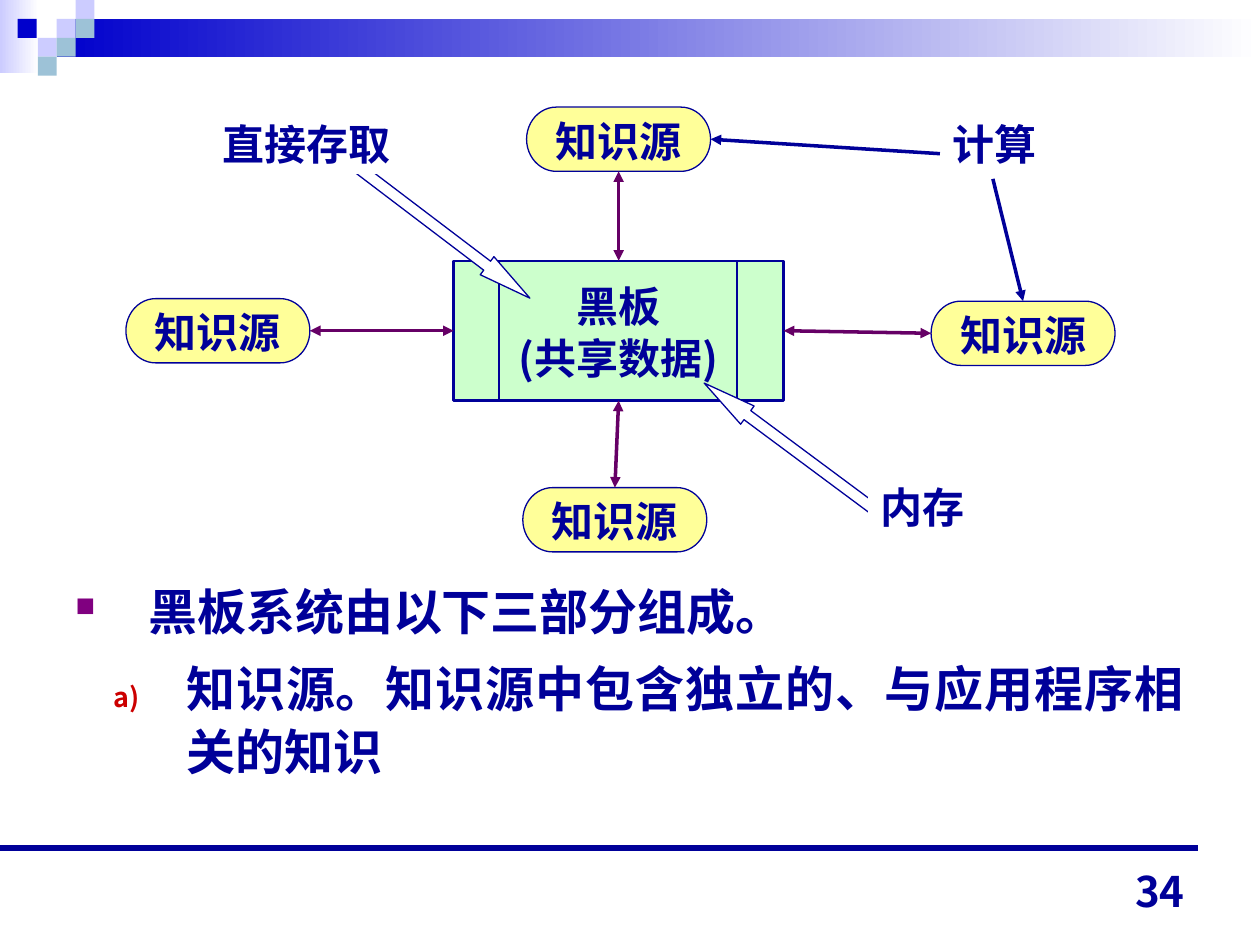
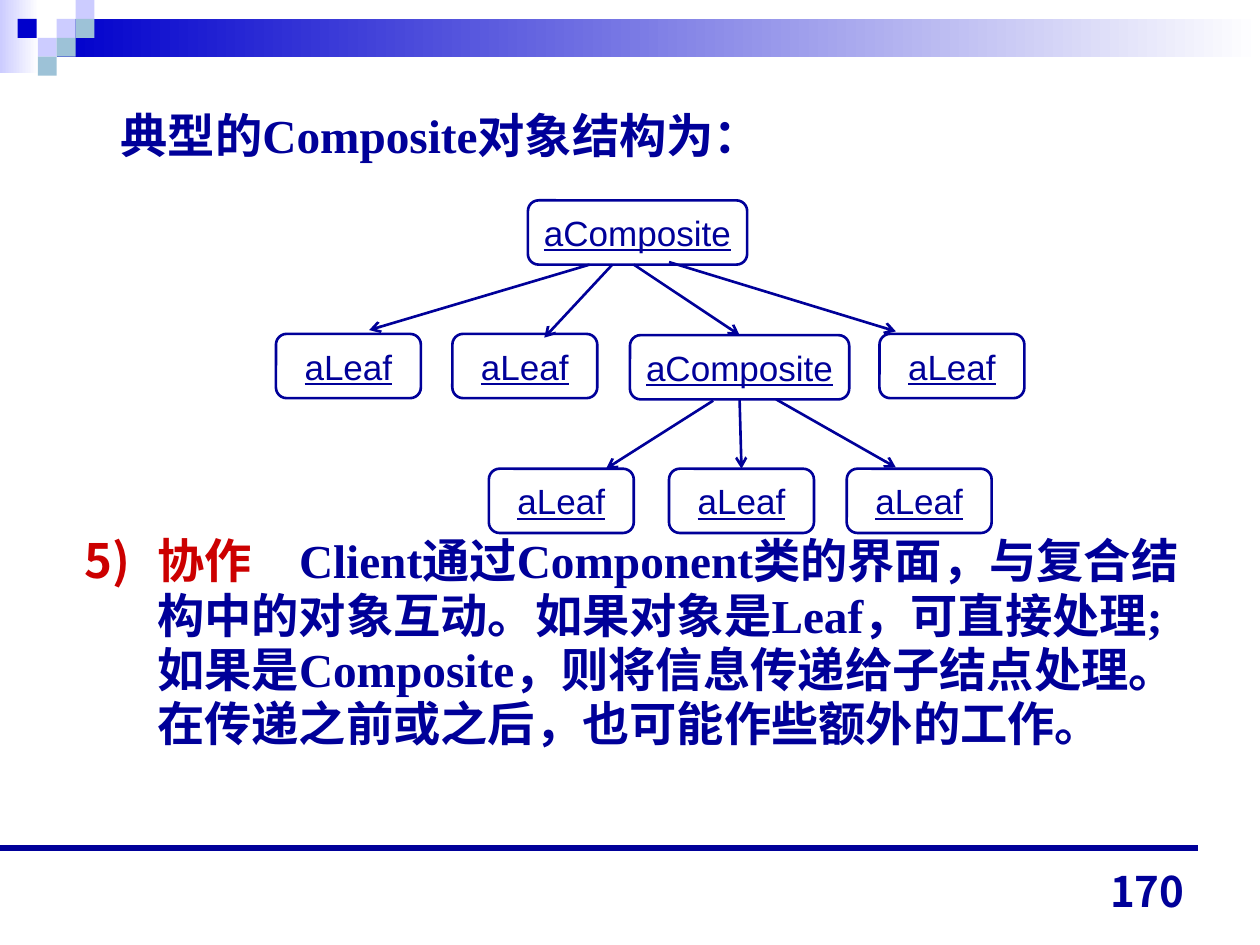
from typing import Any, NamedTuple, Optional, Union

from lxml import etree
from pptx import Presentation
from pptx.dml.color import RGBColor
from pptx.enum import shapes, text
from pptx.oxml import ns
from pptx.util import Inches, Pt

NAVY = RGBColor(0x00, 0x00, 0x99)
BLUE = RGBColor(0x00, 0x00, 0xCC)
LILAC = RGBColor(0xCC, 0xCC, 0xFF)
TEAL = RGBColor(0x9D, 0xC2, 0xD7)
WHITE = RGBColor(0xFF, 0xFF, 0xFF)
YELLOW = RGBColor(0xFF, 0xFF, 0x99)
GREEN = RGBColor(0xCC, 0xFF, 0xCC)
PLUM = RGBColor(0x66, 0x00, 0x66)
PURPLE = RGBColor(0x80, 0x00, 0x80)
RED = RGBColor(0xCC, 0x00, 0x00)

HAN_FONT = "Noto Sans CJK SC"
SHAPE = shapes.MSO_SHAPE
ALIGN = text.PP_ALIGN
ANCHOR = text.MSO_ANCHOR


class Frame(NamedTuple):
    left: float
    top: float
    width: float
    height: float


class Point(NamedTuple):
    x: float
    y: float


class Side(NamedTuple):
    shape: Any
    site: int


class Style(NamedTuple):
    size: float
    name: str = "Arial"
    bold: bool = True
    underline: bool = False
    spacing: Optional[float] = None
    align: Any = ALIGN.CENTER


class Bullet(NamedTuple):
    tag: str
    attributes: dict[str, str]
    color: RGBColor
    percent: int
    left: float
    hanging: float


class Span(NamedTuple):
    words: str
    color: RGBColor = NAVY


End = Union[Point, Side]
TOP, LEFT, BOTTOM, RIGHT = range(4)

LABEL = Style(24, spacing=30)
BLACKBOARD = Style(24, HAN_FONT, spacing=30)
NODE = Style(20, bold=False, underline=True)
BODY = Style(28, "Times New Roman", spacing=36, align=ALIGN.LEFT)
BODY_HAN = BODY._replace(name=HAN_FONT, align=ALIGN.JUSTIFY)
BODY_SMALL = BODY._replace(size=27, spacing=31)
PAGE_NUMBER = Style(24, "Noto Sans CJK JP", align=ALIGN.RIGHT)

SQUARE_BULLET = Bullet("a:buChar", {"char": "■"}, PURPLE, 55, 0.58, 0.58)
LETTER_BULLET = Bullet("a:buAutoNum", {"type": "alphaLcParenR"}, RED, 55, 0.88, 0.58)
FIFTH_BULLET = Bullet("a:buAutoNum", {"type": "arabicParenR", "startAt": "5"},
                      RED, 100, 0.58, 0.58)

TILE = 0.15
TILES = [(0.45, 0.15, LILAC), (0.6, 0, LILAC), (0.6, 0.15, TEAL), (0.3, 0.3, LILAC),
         (0.14, 0.15, BLUE), (0.45, 0.3, TEAL), (0.3, 0.45, TEAL)]
GRADIENT_BANDS = [(Frame(0, 0, 0.31, 0.58), LILAC), (Frame(0.45, 0.15, 9.55, 0.3), BLUE)]


def add_element(parent: Any, tag: str, **attributes: str) -> Any:
    return etree.SubElement(parent, ns.qn(tag), attributes)


def inches(values: tuple) -> list:
    return [Inches(value) for value in values]


def add_shape(page: Any, kind: Any, frame: Frame, fill: Optional[RGBColor] = None,
              line_width: float = 0) -> Any:
    shape = page.shapes.add_shape(kind, *inches(frame))
    shape.shadow.inherit = False
    if fill is None:
        shape.fill.background()
    else:
        shape.fill.solid()
        shape.fill.fore_color.rgb = fill
    if line_width:
        shape.line.color.rgb = NAVY
        shape.line.width = Pt(line_width)
    else:
        shape.line.fill.background()
    return shape


def set_bullet(para: Any, bullet: Bullet) -> None:
    properties = para._p.get_or_add_pPr()
    properties.set("marL", str(Inches(bullet.left)))
    properties.set("indent", str(-Inches(bullet.hanging)))
    color = add_element(properties, "a:buClr")
    add_element(color, "a:srgbClr", val=str(bullet.color))
    add_element(properties, "a:buSzPct", val=str(bullet.percent * 1000))
    add_element(properties, bullet.tag, **bullet.attributes)


def write_para(para: Any, spans: list[Span], style: Style,
               bullet: Optional[Bullet] = None) -> None:
    if bullet:
        set_bullet(para, bullet)
    para.alignment = style.align
    if style.spacing:
        para.line_spacing = Pt(style.spacing)
    font_values = {"size": Pt(style.size), "name": style.name,
                   "bold": style.bold, "underline": style.underline}
    for words, color in spans:
        span = para.add_run()
        span.text = words
        for attribute, value in font_values.items():
            setattr(span.font, attribute, value)
        span.font.color.rgb = color
        add_element(span._r.get_or_add_rPr(), "a:ea", typeface=HAN_FONT)


def write_centred(shape: Any, lines: list[str], style: Style) -> None:
    frame = shape.text_frame
    values = {"word_wrap": False, "vertical_anchor": ANCHOR.MIDDLE, "margin_left": 0,
              "margin_right": 0, "margin_top": 0, "margin_bottom": 0}
    for attribute, value in values.items():
        setattr(frame, attribute, value)
    for index, line in enumerate(lines):
        para = frame.add_paragraph() if index else frame.paragraphs[0]
        write_para(para, [Span(line)], style)


def add_text(page: Any, frame: Frame, anchor: Any = ANCHOR.TOP) -> Any:
    box = page.shapes.add_textbox(*inches(frame))
    box.text_frame.word_wrap = True
    box.text_frame.vertical_anchor = anchor
    return box.text_frame


def add_line(page: Any, start: End, end: End, color: RGBColor, width: float,
             head: str = "none", tail: str = "none") -> None:
    """Draw a straight line; an end given as a Side is joined to its shape."""
    points = [Point(0, 0) if isinstance(spot, Side) else spot for spot in (start, end)]
    line = page.shapes.add_connector(shapes.MSO_CONNECTOR.STRAIGHT,
                                     *inches(points[0] + points[1]))
    for spot, join in ((start, line.begin_connect), (end, line.end_connect)):
        if isinstance(spot, Side):
            join(spot.shape, spot.site)
    line.line.color.rgb = color
    line.line.width = Pt(width)
    outline = line.line._get_or_add_ln()
    add_element(outline, "a:headEnd", type=head)
    add_element(outline, "a:tailEnd", type=tail)
    add_element(line._element.spPr, "a:effectLst")


def add_page(deck: Any, number: int) -> Any:
    """Add a blank page with the header band, footer rule and page number."""
    page = deck.slides.add_slide(deck.slide_layouts[6])
    for frame, color in GRADIENT_BANDS:
        band = add_shape(page, SHAPE.RECTANGLE, frame, color)
        band.fill.gradient()
        band.fill.gradient_angle = 0
        for stop, stop_color in zip(band.fill.gradient_stops, (color, WHITE)):
            stop.color.rgb = stop_color
    for left, top, color in TILES:
        add_shape(page, SHAPE.RECTANGLE, Frame(left, top, TILE, TILE), color)
    add_line(page, Point(0, 6.73), Point(9.51, 6.73), NAVY, 3.25)
    footer = add_text(page, Frame(7.17, 6.82, 2.33, 0.5), ANCHOR.BOTTOM)
    write_para(footer.paragraphs[0], [Span(str(number))], PAGE_NUMBER)
    return page


def add_source(page: Any, left: float, top: float) -> Any:
    source = add_shape(page, SHAPE.FLOWCHART_TERMINATOR,
                       Frame(left, top, 1.46, 0.51), YELLOW, 0.75)
    write_centred(source, ["知识源"], LABEL)
    return source


def add_node(page: Any, name: str, left: float, top: float) -> Any:
    width = 1.74 if name == "aComposite" else 1.15
    node = add_shape(page, SHAPE.ROUNDED_RECTANGLE, Frame(left, top, width, 0.51),
                     line_width=1.5)
    write_centred(node, [name], NODE)
    return node


def build_blackboard_page(deck: Any) -> None:
    page = add_page(deck, 34)

    upper = add_source(page, 4.18, 0.85)
    lower = add_source(page, 4.15, 3.87)
    left = add_source(page, 1, 2.37)
    right = add_source(page, 7.39, 2.39)
    board = add_shape(page, SHAPE.RECTANGLE, Frame(3.6, 2.07, 2.62, 1.11), GREEN, 1.5)
    write_centred(board, ["黑板", "(共享数据)"], BLACKBOARD)
    for x in (3.96, 5.85):
        add_line(page, Point(x, 2.07), Point(x, 3.18), NAVY, 1.5)

    for source, source_side, board_side in ((upper, BOTTOM, TOP), (lower, TOP, BOTTOM),
                                            (left, RIGHT, LEFT), (right, LEFT, RIGHT)):
        add_line(page, Side(source, source_side), Side(board, board_side), PLUM, 2,
                 head="triangle", tail="triangle")
    for start, end in ((Point(7.46, 1.22), Side(upper, RIGHT)),
                       (Point(7.88, 1.42), Side(right, TOP))):
        add_line(page, start, end, NAVY, 2, tail="triangle")

    for x, y, rotation in ((2.67, 1.76, 37.2), (5.42, 3.46, 216.6)):
        pointer = add_shape(page, SHAPE.RIGHT_ARROW, Frame(x, y, 1.71, 0.18), WHITE, 0.75)
        pointer.rotation = rotation
        pointer.adjustments[0] = 0.5
        pointer.adjustments[1] = 2.37

    for words, frame, fill in (("计算", Frame(7.46, 0.88, 0.86, 0.5), None),
                               ("直接存取", Frame(1.67, 0.88, 1.53, 0.5), WHITE),
                               ("内存", Frame(6.89, 3.76, 0.86, 0.5), WHITE)):
        write_centred(add_shape(page, SHAPE.RECTANGLE, frame, fill), [words], LABEL)

    body = add_text(page, Frame(0.5, 4.53, 9, 2.1))
    write_para(body.paragraphs[0], [Span("黑板系统由以下三部分组成。")], BODY, SQUARE_BULLET)
    part = body.add_paragraph()
    write_para(part, [Span("知识源。知识源中包含独立的、与应用程序相关的知识")],
               BODY_HAN, LETTER_BULLET)
    part.space_before = Pt(8)


def build_composite_page(deck: Any) -> None:
    page = add_page(deck, 170)

    heading = add_text(page, Frame(0.86, 0.81, 8, 0.55))
    write_para(heading.paragraphs[0], [Span("典型的Composite对象结构为：")], BODY_SMALL)

    add_node(page, "aComposite", 4.19, 1.59)
    inner = add_node(page, "aComposite", 5, 2.66)
    for left in (2.19, 3.59, 6.98):
        add_node(page, "aLeaf", left, 2.65)
    _, middle_leaf, _ = [add_node(page, "aLeaf", left, 3.72) for left in (3.88, 5.31, 6.72)]

    for start, end in (
        (Point(4.68, 2.1), Point(2.93, 2.62)),
        (Point(4.86, 2.1), Point(4.32, 2.68)),
        (Point(5.03, 2.1), Side(inner, TOP)),
        (Point(5.31, 2.08), Point(7.11, 2.63)),
        (Point(5.66, 3.18), Point(4.81, 3.72)),
        (Side(inner, BOTTOM), Side(middle_leaf, TOP)),
        (Point(6.16, 3.17), Point(7.11, 3.71)),
    ):
        add_line(page, start, end, NAVY, 1.5, tail="arrow")

    body = add_text(page, Frame(0.57, 4.19, 9, 2.4))
    write_para(body.paragraphs[0], [
        Span("协作　", RED),
        Span("Client通过Component类的界面，与复合结构中的对象互动。如果对象是Leaf，可直接处理;"
             "如果是Composite，则将信息传递给子结点处理。在传递之前或之后，也可能作些额外的工作。"),
    ], BODY_SMALL, FIFTH_BULLET)


def main() -> None:
    deck = Presentation()
    deck.slide_width, deck.slide_height = Inches(10), Inches(7.5)
    build_blackboard_page(deck)
    build_composite_page(deck)
    deck.save("out.pptx")


if __name__ == "__main__":
    main()
